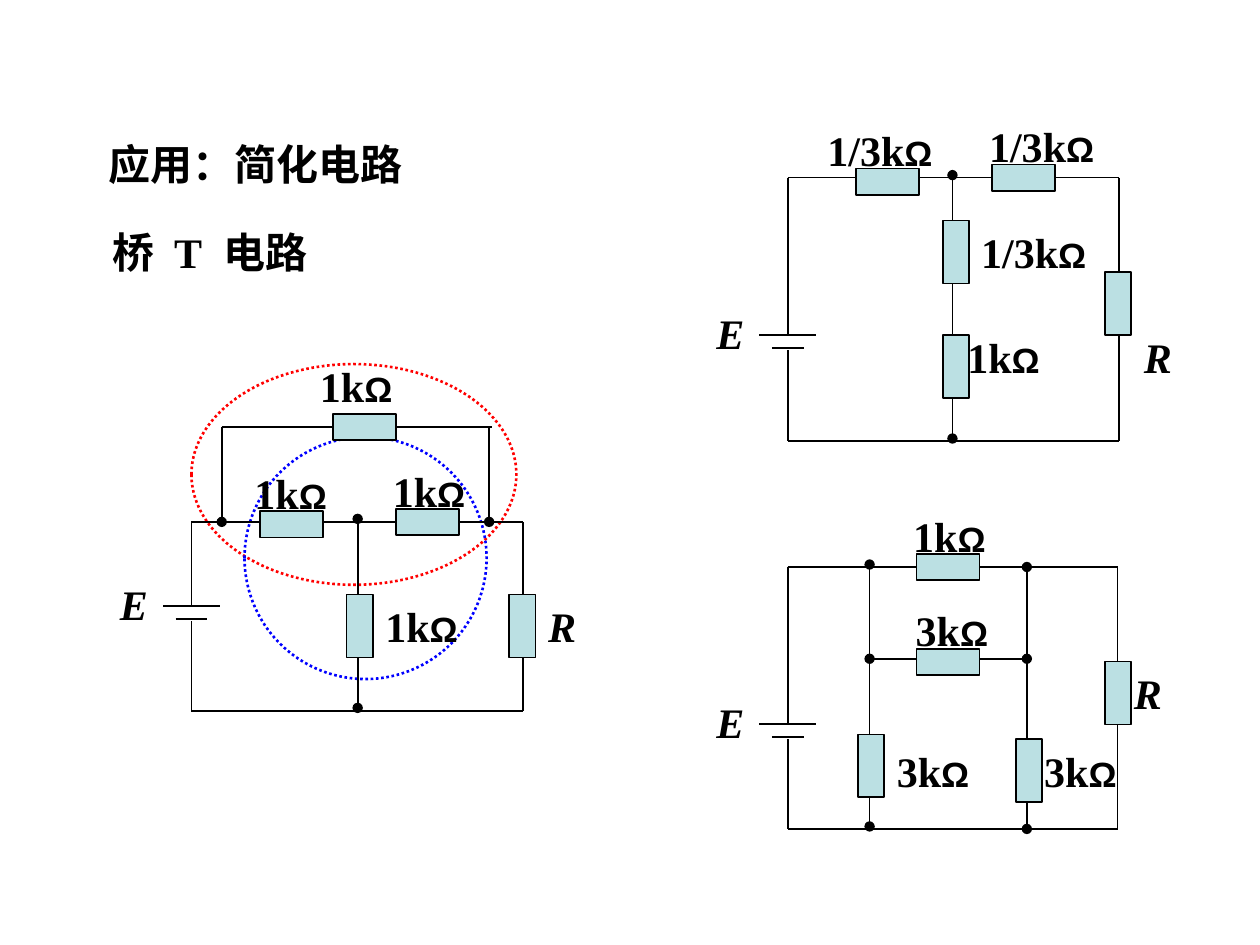
import dataclasses
import typing

import lxml.etree
import pptx
import pptx.dml.color
import pptx.enum.dml
import pptx.enum.shapes
import pptx.enum.text
import pptx.oxml.ns
import pptx.util
from pptx.util import Cm


@dataclasses.dataclass(frozen=True)
class Theme:
    ink: str = "000000"
    resistor: str = "BBE0E3"
    delta_loop: str = "FF0000"
    star_loop: str = "0000FF"
    text_font: str = "Times New Roman"
    symbol_font: str = "Arial"
    text_size: float = 24
    symbol_size: float = 20
    wire_width: float = 1
    loop_width: float = 1.5


@dataclasses.dataclass(frozen=True)
class Wire:
    x1: float
    y1: float
    x2: float
    y2: float
    start_dot: bool = False
    end_dot: bool = False


@dataclasses.dataclass(frozen=True)
class Resistor:
    x: float
    y: float
    horizontal: bool = False


@dataclasses.dataclass(frozen=True)
class Label:
    kilo_ohms: str
    left: float
    top: float
    width: float


@dataclasses.dataclass(frozen=True)
class Circuit:
    left: float
    right: float
    top: float
    battery: float
    bottom: float
    load_label: tuple[float, float]
    wires: list[Wire]
    resistors: list[Resistor]
    labels: list[Label]


@dataclasses.dataclass(frozen=True)
class Span:
    text: str
    font: str
    size: float
    italic: bool = False
    spacing: int = 0


@dataclasses.dataclass(frozen=True)
class Loop:
    left: float
    top: float
    width: float
    height: float
    color: str


THEME = Theme()
TEXT_HEIGHT = 1.27
RESISTOR_WIDTH, RESISTOR_LENGTH = 0.53, 1.27
LONG_PLATE, SHORT_PLATE = 0.57, 0.32
PLATE_GAP, LEAD_GAP = 0.26, 0.3

LOOPS = [
    Loop(3.86, 7.34, 6.55, 4.45, THEME.delta_loop),
    Loop(4.93, 8.81, 4.88, 4.88, THEME.star_loop),
]

BRIDGE_T = Circuit(
    3.86, 10.54, 10.52, 12.22, 14.33, (10.8, 11.99),
    [Wire(7.21, 10.46, 7.21, 14.27, True, True),
     Wire(4.47, 10.52, 4.47, 8.61, True),
     Wire(4.47, 8.61, 9.91, 8.61),
     Wire(9.86, 10.52, 9.86, 8.61, True)],
    [Resistor(7.25, 12.62), Resistor(8.62, 10.52, True), Resistor(5.88, 10.57, True),
     Resistor(10.53, 12.62), Resistor(7.35, 8.61, True)],
    [Label("1k", 6.2, 7.14, 2.54), Label("1k", 4.88, 9.3, 2.54),
     Label("1k", 7.67, 9.25, 2.54), Label("1k", 7.52, 11.99, 2.54)],
)
STAR_FORM = Circuit(
    15.88, 22.56, 3.58, 6.76, 8.89, (22.81, 6.55),
    [Wire(19.2, 3.53, 19.2, 8.84, True, True)],
    [Resistor(19.27, 7.39), Resistor(20.64, 3.58, True), Resistor(17.89, 3.66, True),
     Resistor(22.54, 6.12), Resistor(19.27, 5.08)],
    [Label("1/3k", 16.43, 2.39, 2.82), Label("1/3k", 19.69, 2.31, 2.87),
     Label("1k", 19.25, 6.55, 2.21), Label("1/3k", 19.53, 4.45, 2.69)],
)
DELTA_FORM = Circuit(
    15.88, 22.53, 11.43, 14.6, 16.71, (22.61, 13.34),
    [Wire(17.53, 11.38, 17.53, 16.66, True, True),
     Wire(20.7, 11.43, 20.7, 16.71, True, True),
     Wire(17.53, 13.28, 20.7, 13.28, True, True)],
    [Resistor(19.11, 11.43, True), Resistor(22.54, 13.97), Resistor(17.56, 15.44),
     Resistor(20.74, 15.54), Resistor(19.11, 13.34, True)],
    [Label("1k", 18.16, 10.16, 2.11), Label("3k", 17.83, 14.91, 2.44),
     Label("3k", 20.8, 14.91, 2.44), Label("3k", 18.21, 12.07, 2.44)],
)


def rgb(color: str) -> pptx.dml.color.RGBColor:
    return pptx.dml.color.RGBColor.from_string(color)


def words(text: str, italic: bool = False, spacing: int = 0) -> Span:
    return Span(text, THEME.text_font, THEME.text_size, italic, spacing)


def add_text(slide: typing.Any, spans: list[Span], left: float, top: float, width: float) -> None:
    box = slide.shapes.add_textbox(Cm(left), Cm(top), Cm(width), Cm(TEXT_HEIGHT))
    box.text_frame.word_wrap = True
    box.text_frame.auto_size = pptx.enum.text.MSO_AUTO_SIZE.SHAPE_TO_FIT_TEXT
    para = box.text_frame.paragraphs[0]
    for span in spans:
        run = para.add_run()
        run.text = span.text
        run.font.name = span.font
        run.font.size = pptx.util.Pt(span.size)
        run.font.bold = True
        run.font.italic = span.italic
        run.font.color.rgb = rgb(THEME.ink)
        if span.spacing:
            run.font._element.set("spc", str(span.spacing))


def add_wire(slide: typing.Any, wire: Wire) -> None:
    connector = slide.shapes.add_connector(
        pptx.enum.shapes.MSO_CONNECTOR.STRAIGHT,
        Cm(wire.x1), Cm(wire.y1), Cm(wire.x2), Cm(wire.y2))
    connector.line.color.rgb = rgb(THEME.ink)
    connector.line.width = pptx.util.Pt(THEME.wire_width)
    line = connector.line._get_or_add_ln()
    for tag, dotted in (("a:headEnd", wire.start_dot), ("a:tailEnd", wire.end_dot)):
        if dotted:
            lxml.etree.SubElement(line, pptx.oxml.ns.qn(tag), type="oval")
    lxml.etree.SubElement(connector._element.spPr, pptx.oxml.ns.qn("a:effectLst"))


def add_resistor(slide: typing.Any, resistor: Resistor) -> None:
    shape = slide.shapes.add_shape(
        pptx.enum.shapes.MSO_SHAPE.RECTANGLE,
        Cm(resistor.x - RESISTOR_WIDTH / 2), Cm(resistor.y - RESISTOR_LENGTH / 2),
        Cm(RESISTOR_WIDTH), Cm(RESISTOR_LENGTH))
    shape.rotation = 270 if resistor.horizontal else 0
    shape.shadow.inherit = False
    shape.fill.solid()
    shape.fill.fore_color.rgb = rgb(THEME.resistor)
    shape.line.color.rgb = rgb(THEME.ink)
    shape.line.width = pptx.util.Pt(THEME.wire_width)


def add_loop(slide: typing.Any, loop: Loop) -> None:
    shape = slide.shapes.add_shape(
        pptx.enum.shapes.MSO_SHAPE.OVAL,
        Cm(loop.left), Cm(loop.top), Cm(loop.width), Cm(loop.height))
    shape.shadow.inherit = False
    shape.fill.background()
    shape.line.color.rgb = rgb(loop.color)
    shape.line.width = pptx.util.Pt(THEME.loop_width)
    shape.line.dash_style = pptx.enum.dml.MSO_LINE.ROUND_DOT


def add_circuit(slide: typing.Any, circuit: Circuit) -> None:
    left, right, battery = circuit.left, circuit.right, circuit.battery
    lower_plate = battery + PLATE_GAP
    frame = [
        Wire(left - LONG_PLATE, battery, left + LONG_PLATE, battery),
        Wire(left - SHORT_PLATE, lower_plate, left + SHORT_PLATE, lower_plate),
        Wire(left, battery + LEAD_GAP, left, circuit.bottom),
        Wire(left, battery, left, circuit.top),
        Wire(left, circuit.top, right, circuit.top),
        Wire(left, circuit.bottom, right, circuit.bottom),
        Wire(right, circuit.top, right, circuit.bottom),
    ]
    for wire in frame + circuit.wires:
        add_wire(slide, wire)
    for resistor in circuit.resistors:
        add_resistor(slide, resistor)
    for label in circuit.labels:
        ohm = Span("Ω", THEME.symbol_font, THEME.symbol_size)
        add_text(slide, [words(label.kilo_ohms), ohm], label.left, label.top, label.width)
    add_text(slide, [words("R", italic=True)], *circuit.load_label, 0.89)
    add_text(slide, [words("E", italic=True)], left - 1.69, battery - 0.69, 1.1)


def main() -> None:
    deck = pptx.Presentation()
    deck.slide_width, deck.slide_height = Cm(25.4), Cm(19.05)
    page = deck.slides.add_slide(deck.slide_layouts[6])
    for loop in LOOPS:
        add_loop(page, loop)
    add_text(page, [words("应用：简化电路")], 1.93, 2.67, 7.16)
    gap = words(" ", spacing=600)
    add_text(page, [words("桥"), gap, words("T"), gap, words("电路")], 2.01, 4.45, 5.31)
    for circuit in (BRIDGE_T, STAR_FORM, DELTA_FORM):
        add_circuit(page, circuit)
    deck.save("out.pptx")


if __name__ == "__main__":
    main()
